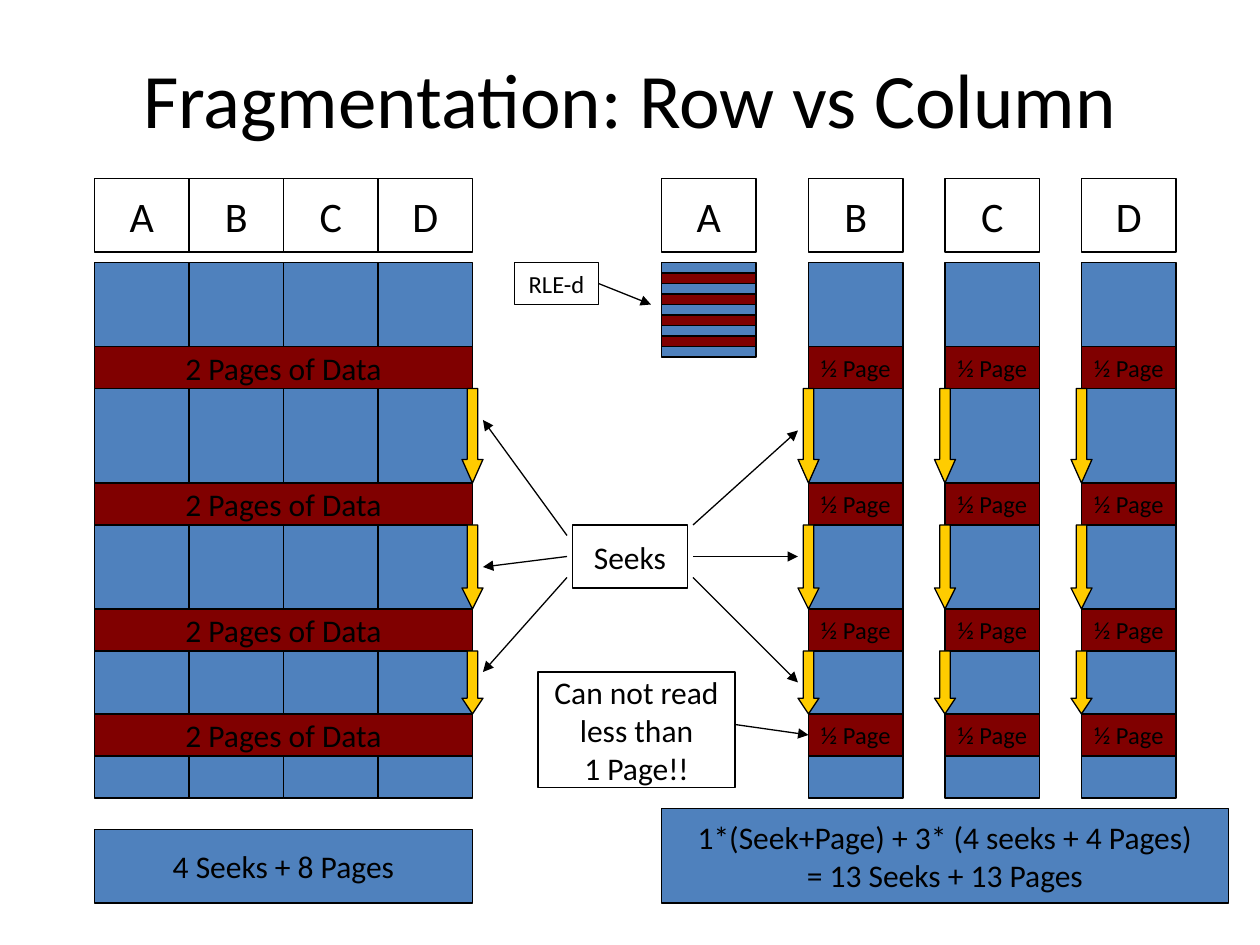
from lxml import etree
from pptx import Presentation
from pptx import util as u
from pptx.dml.color import RGBColor
from pptx.enum import shapes, text
from pptx.oxml.ns import qn

THEME = dict(
    font="Calibri", ink="000000", paper="FFFFFF", data="4F81BD", page="800000", seek="FFCC00",
    title=44, head=24, body=18, small=14, line=0.75,
)
GRID = 2.54 / 12  # cm; every position below counts these steps
RECT = shapes.MSO_SHAPE.RECTANGLE
ARROW = shapes.MSO_SHAPE.DOWN_ARROW


def add_box(parent, x, y, w, h, fill, label="", size="body", kind=RECT):
    sp = parent.add_shape(kind, *(u.Cm(GRID * n) for n in (x, y, w, h)))
    sp.shadow.inherit = False
    sp.fill.solid()
    sp.fill.fore_color.rgb = RGBColor.from_string(THEME[fill])
    sp.line.color.rgb = RGBColor.from_string(THEME["ink"])
    sp.line.width = u.Pt(THEME["line"])
    if label:
        tf = sp.text_frame
        tf.text = label
        tf.word_wrap = False
        tf.vertical_anchor = text.MSO_ANCHOR.MIDDLE
        for p in tf.paragraphs:
            p.alignment = text.PP_ALIGN.CENTER
            p.font.color.rgb = RGBColor.from_string(THEME["ink"])
            for name, value in dict(name=THEME["font"], size=u.Pt(THEME[size])).items():
                setattr(p.font, name, value)
    return sp


def add_pointer(parent, x1, y1, x2, y2):
    cxn = parent.add_connector(shapes.MSO_CONNECTOR.STRAIGHT, *(u.Cm(GRID * n) for n in (x1, y1, x2, y2)))
    cxn.line.color.rgb = RGBColor.from_string(THEME["ink"])
    cxn.line.width = u.Pt(THEME["line"])
    etree.SubElement(cxn.line._get_or_add_ln(), qn("a:tailEnd"), type="triangle")
    etree.SubElement(cxn._element.spPr, qn("a:effectLst"))
    return cxn


prs = Presentation()
prs.slide_width, prs.slide_height = u.Cm(25.4), u.Cm(19.05)
s = prs.slides.add_slide(prs.slide_layouts[5])
sps = s.shapes

# Title
title = sps.title
place = dict(left=u.Cm(1.27), top=u.Cm(0.76), width=u.Cm(22.86), height=u.Cm(2.41))
for name, value in place.items():
    setattr(title, name, value)
tf = title.text_frame
tf.text = "Fragmentation: Row vs Column"
tf.vertical_anchor = text.MSO_ANCHOR.MIDDLE
p = tf.paragraphs[0]
p.alignment = text.PP_ALIGN.CENTER
p.font.color.rgb = RGBColor.from_string(THEME["ink"])
for name, value in dict(name=THEME["font"], size=u.Pt(THEME["title"])).items():
    setattr(p.font, name, value)

# Headers and data columns: row store on the left, column store on the right
COL_W, HEAD_Y, HEAD_H, DATA_Y, DATA_H = 9, 17, 7, 25, 51
row_xs = [9 + COL_W * i for i in range(4)]
rle_x, column_xs = 63, [77 + 13 * i for i in range(3)]
for x, name in zip(row_xs + [rle_x] + column_xs, "ABCD" * 2):
    add_box(sps, x, HEAD_Y, COL_W, HEAD_H, "paper", name, "head")
    if x != rle_x:
        add_box(sps, x, DATA_Y, COL_W, DATA_H, "data")

# Run-length encoded column A
rle = sps.add_group_shape().shapes
add_box(rle, rle_x, DATA_Y, COL_W, 9, "data")
for y in range(DATA_Y + 1, DATA_Y + 9, 2):
    add_box(rle, rle_x, y, COL_W, 1, "page")

# Pages that are read
page_ys, PAGE_H = [33, 46, 58, 68], 4
for y in page_ys:
    add_box(sps, row_xs[0], y, 4 * COL_W, PAGE_H, "page", "2 Pages of Data")
    for x in column_xs:
        half_page = add_box(sps, x, y, COL_W, PAGE_H, "page", "½ Page", "small")
        if x == column_xs[0]:
            last_b_page = half_page

# Seek arrows between successive pages
for y, next_y in zip(page_ys, page_ys[1:]):
    top, height = y + PAGE_H, next_y - y - PAGE_H
    for x in [row_xs[-1] + COL_W] + column_xs:
        sp = add_box(sps, x - 1, top, 2, height, "seek", kind=ARROW)
        sp.adjustments[0] = 0.5
        sp.adjustments[1] = height / 8  # head takes a quarter of the length

# Seeks label and its pointers
add_box(sps, 54.5, 50, 11, 6, "paper", "Seeks")
for ends in [(54, 51, 46, 40), (54, 53, 46, 54), (54, 55, 46, 64),
             (66, 50, 76, 41), (66, 53, 76, 53), (66, 55, 76, 65)]:
    add_pointer(sps, *ends)

# Callouts
rle_label = add_box(sps, 49, 25, 8, 4, "paper", "RLE-d", "small")
add_pointer(sps, 57, 27, 62, 29).begin_connect(rle_label, 3)
add_box(sps, 51.25, 64, 18.75, 11, "paper", "Can not read\nless than\n1 Page!!")
add_pointer(sps, 70, 69, 77, 70).end_connect(last_b_page, 1)

# Cost totals
add_box(sps, 9, 79, 36, 7, "data", "4 Seeks + 8 Pages")
add_box(sps, 63, 77, 54, 9, "data",
        "1*(Seek+Page) + 3* (4 seeks + 4 Pages)\n= 13 Seeks + 13 Pages")

prs.save("out.pptx")
